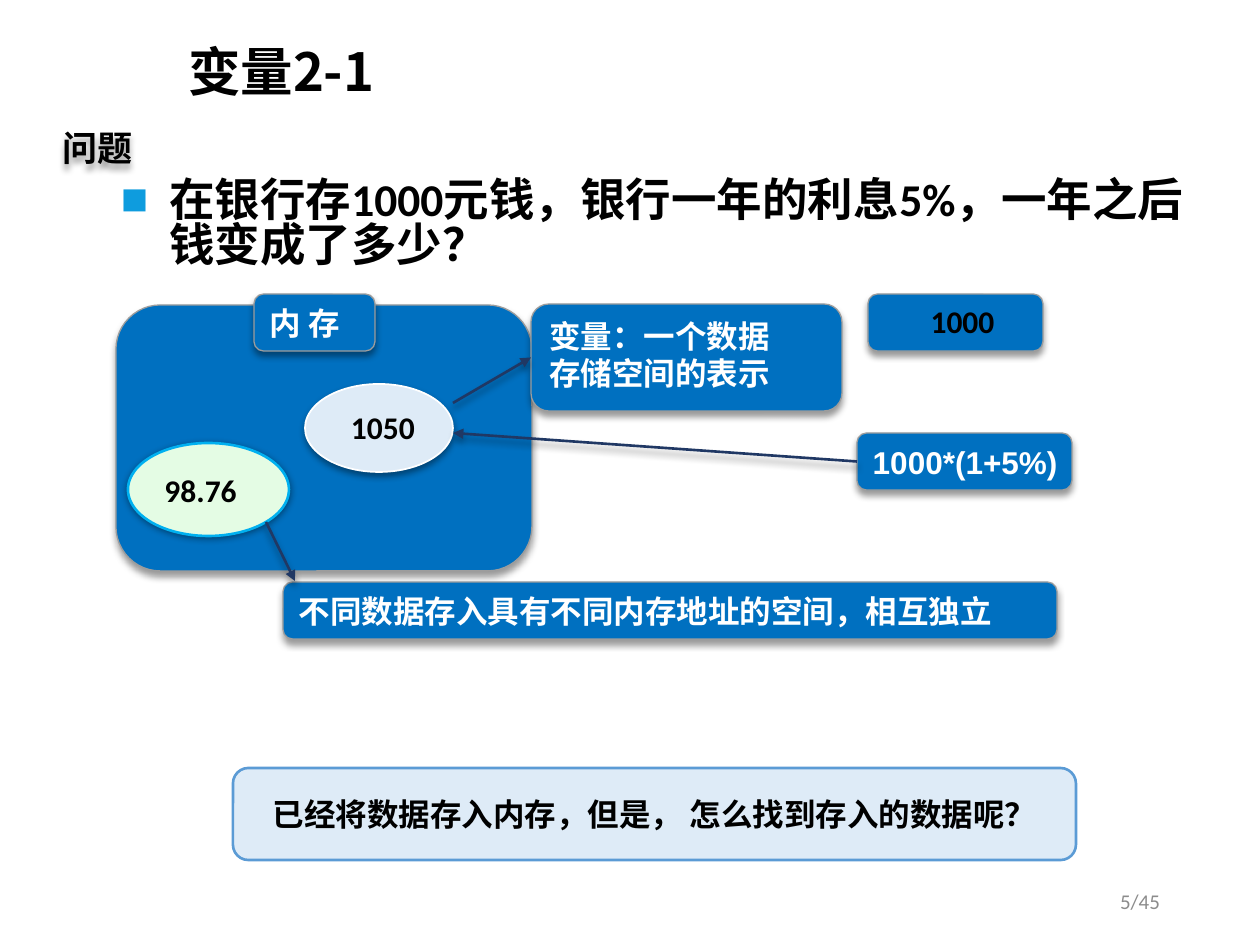
from lxml.etree import SubElement
from pptx import Presentation
from pptx.dml.color import RGBColor
from pptx.enum.shapes import MSO_CONNECTOR as Connector, MSO_SHAPE as Preset
from pptx.enum.text import MSO_ANCHOR as Anchor, PP_ALIGN as Align
from pptx.oxml.ns import qn
from pptx.util import Emu, Pt

PX = 914400 / 126
CJK = "Noto Sans CJK SC"
BLACK, WHITE, BLUE, PALE, GRAY = "000000", "FFFFFF", "0070C0", "DEEBF7", "9D9D9D"


def px(value):
    return Emu(round(value * PX))


def color(value):
    return RGBColor.from_string(value)


def add_xml(parent, tag, **attributes):
    return SubElement(parent, qn(tag), attributes)


class SlideStyle:
    text_format = {"size": 18, "font": CJK, "color": BLACK, "bold": True}

    def __init__(self, slide):
        self.slide = slide

    def shadow(self, shape, distance=3):
        effects = add_xml(shape._element.spPr, "a:effectLst")
        if distance:
            outer = add_xml(effects, "a:outerShdw", blurRad=str(Pt(4)), dist=str(Pt(distance)),
                            dir="5400000", algn="t", rotWithShape="0")
            add_xml(add_xml(outer, "a:srgbClr", val=BLACK), "a:alpha", val="40000")

    def fill_text(self, shape, text, anchor=Anchor.MIDDLE, right=13, paragraph_format=None, **text_format):
        style = {**self.text_format, **text_format}
        frame = shape.text_frame
        frame.text = text
        frame_format = {"word_wrap": True, "vertical_anchor": anchor, "margin_left": px(13),
                        "margin_right": px(right), "margin_top": px(6), "margin_bottom": px(6)}
        for name, value in frame_format.items():
            setattr(frame, name, value)
        for paragraph in frame.paragraphs:
            for name, value in {"alignment": Align.LEFT, **(paragraph_format or {})}.items():
                setattr(paragraph, name, value)
            for run in paragraph.runs:
                font_format = {"name": style["font"], "size": Pt(style["size"]), "bold": style["bold"]}
                for name, value in font_format.items():
                    setattr(run.font, name, value)
                run.font.color.rgb = color(style["color"])
                add_xml(run.font._element, "a:ea", typeface=CJK)

    def title(self, box, text, **text_format):
        shape = self.slide.shapes.title
        for name, value in zip(("left", "top", "width", "height"), box):
            setattr(shape, name, px(value))
        self.fill_text(shape, text, **text_format)

    def text(self, box, text, **text_format):
        shape = self.slide.shapes.add_textbox(*map(px, box))
        self.fill_text(shape, text, **text_format)
        return shape

    def bullet(self, shape, symbol, tint, indent):
        for paragraph in shape.text_frame.paragraphs:
            properties = paragraph._p.get_or_add_pPr()
            properties.set("marL", str(px(indent)))
            properties.set("indent", str(-px(indent)))
            add_xml(add_xml(properties, "a:buClr"), "a:srgbClr", val=tint)
            add_xml(properties, "a:buFont", typeface="Arial")
            add_xml(properties, "a:buChar", char=symbol)

    def shape(self, box, preset=Preset.ROUNDED_RECTANGLE, fill=BLUE, line=GRAY, width=0.75,
              distance=3, adjustments=(0.167,)):
        shape = self.slide.shapes.add_shape(preset, *map(px, box))
        for index, value in enumerate(adjustments):
            shape.adjustments[index] = value
        shape.fill.solid()
        shape.fill.fore_color.rgb = color(fill)
        shape.line.color.rgb = color(line)
        shape.line.width = Pt(width)
        self.shadow(shape, distance)
        return shape

    def label(self, box, text, paragraph_format=None, **shape_format):
        shape = self.shape(box, **shape_format)
        self.fill_text(shape, text, font="Arial", color=WHITE, right=0, paragraph_format=paragraph_format)
        return shape

    def ellipse(self, box, **shape_format):
        return self.shape(box, preset=Preset.OVAL, adjustments=(), **shape_format)

    def arrow(self, start, end, source=None, target=None):
        connector = self.slide.shapes.add_connector(Connector.STRAIGHT, *map(px, start + end))
        if source:
            connector.begin_connect(source, 1)
        if target:
            connector.end_connect(target, 1)
        connector.line.color.rgb = color("203864")
        connector.line.width = Pt(1.5)
        add_xml(connector.line._get_or_add_ln(), "a:tailEnd", type="triangle")
        self.shadow(connector)


def main():
    presentation = Presentation()
    presentation.slide_width, presentation.slide_height = px(1260), px(945)
    style = SlideStyle(presentation.slides.add_slide(presentation.slide_layouts[5]))

    style.title((175, 39, 1061, 72), "变量2-1", size=30, paragraph_format={"line_spacing": 0.9})
    question = style.text((108, 175, 1092, 198), "在银行存1000元钱，银行一年的利息5%，一年之后钱变成了多少？",
                          anchor=Anchor.TOP, size=26, font="Calibri",
                          paragraph_format={"line_spacing": 0.82, "space_before": Pt(5)})
    style.bullet(question, "■", "0E9CDE", 48)
    heading = style.text((49, 120, 97, 55), "问题", size=20)
    style.shadow(heading)

    formula = style.label((857, 433, 215, 57), "1000*(1+5%)")
    style.shape((868, 294, 175, 57))
    style.shape((116, 305, 416, 266))
    style.label((254, 294, 121, 57), "内 存")
    style.ellipse((305, 384, 148, 88), fill=PALE, line=WHITE, width=1, distance=2)
    style.text((809, 296, 307, 50), "1000", font="Calibri", paragraph_format={"alignment": Align.CENTER})

    variable = style.label((531, 304, 311, 107), "变量：一个数据\n存储空间的表示",
                           paragraph_format={"line_spacing": 0.82, "space_before": Pt(3.6)},
                           preset=Preset.ROUNDED_RECTANGULAR_CALLOUT, adjustments=(-0.5, 0.03, 0.167))
    balance = style.ellipse((128, 443, 161, 93), fill="E4FCE4", line="00B0F0", width=1.5, distance=1)
    style.fill_text(balance, "98.76", font="Calibri")
    style.label((283, 582, 774, 57), "不同数据存入具有不同内存地址的空间，相互独立",
                preset=Preset.ROUNDED_RECTANGULAR_CALLOUT, adjustments=(-0.01, -0.5, 0.167))
    prompt = style.shape((233, 768, 843, 92), fill=PALE, line="5B9BD5", width=1.5, distance=0)
    style.fill_text(prompt, "已经将数据存入内存，但是， 怎么找到存入的数据呢？",
                    paragraph_format={"alignment": Align.CENTER})

    style.arrow((453, 403), (531, 360), target=variable)
    style.arrow((266, 522), (295, 581))
    style.text((338, 402, 149, 50), "1050", font="Calibri")
    style.arrow((857, 462), (453, 433), source=formula)
    style.text((890, 876, 283, 50), "5/45", size=12, font="Calibri", color="8C8C8C", bold=False,
               paragraph_format={"alignment": Align.RIGHT})
    presentation.save("out.pptx")


if __name__ == "__main__":
    main()
